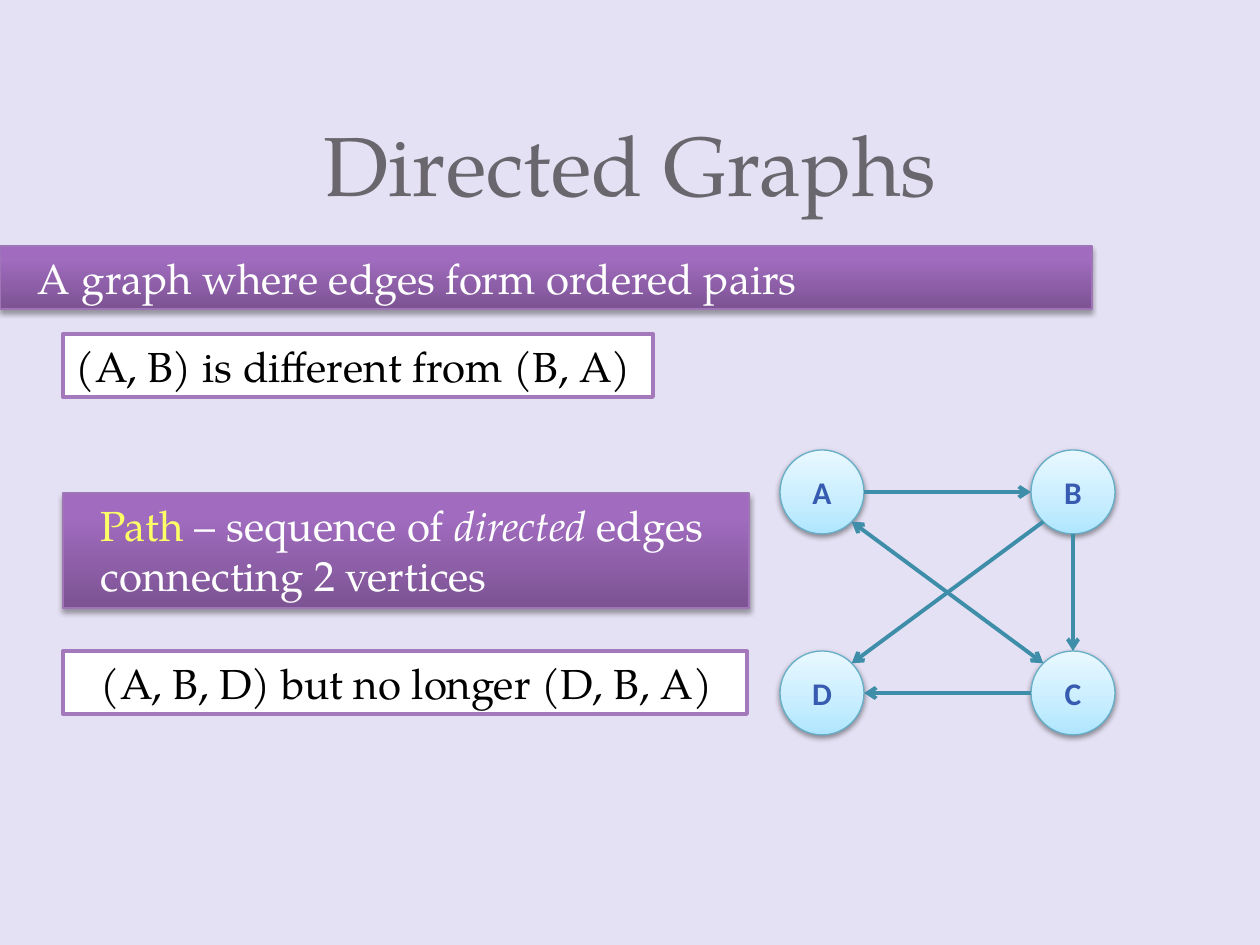
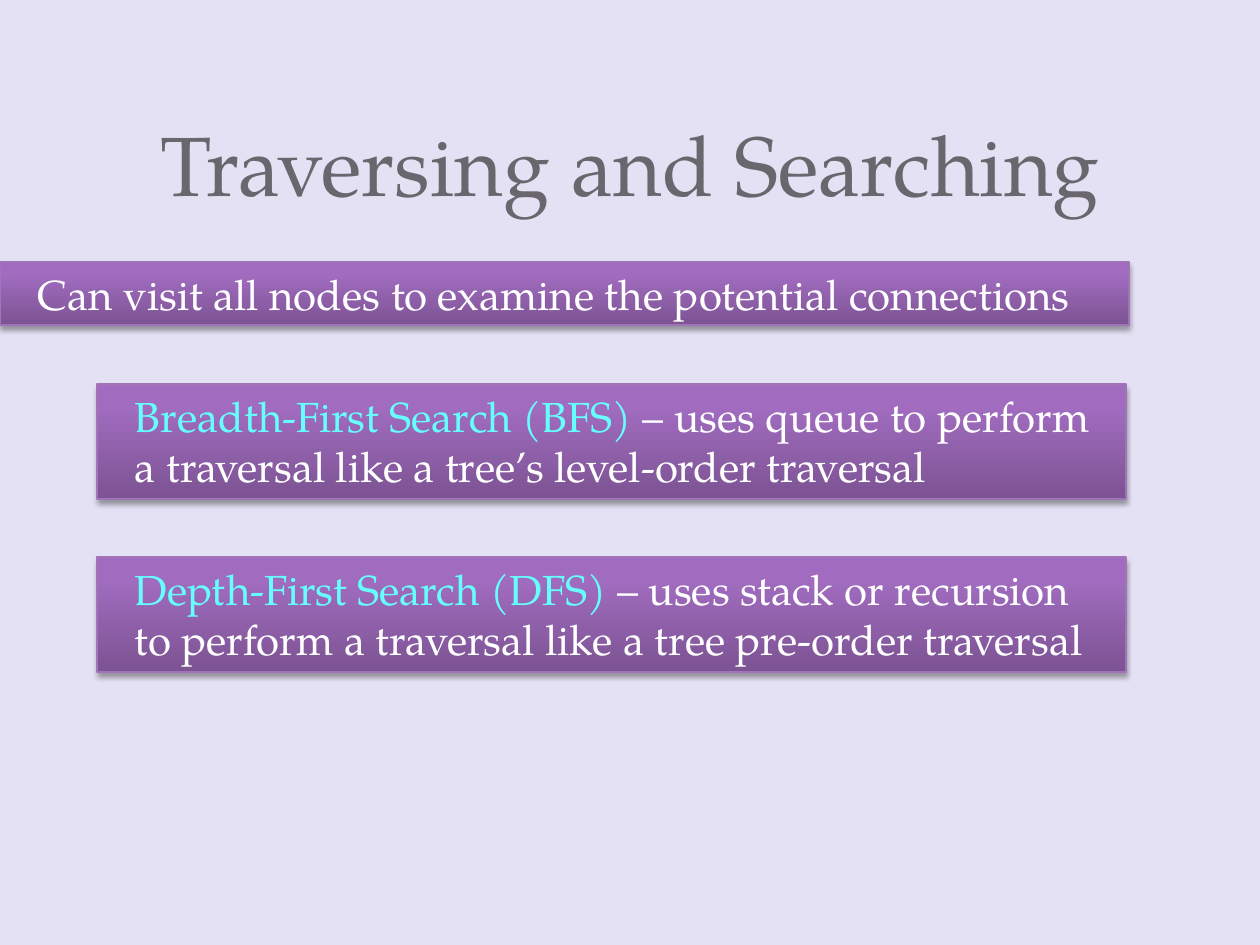
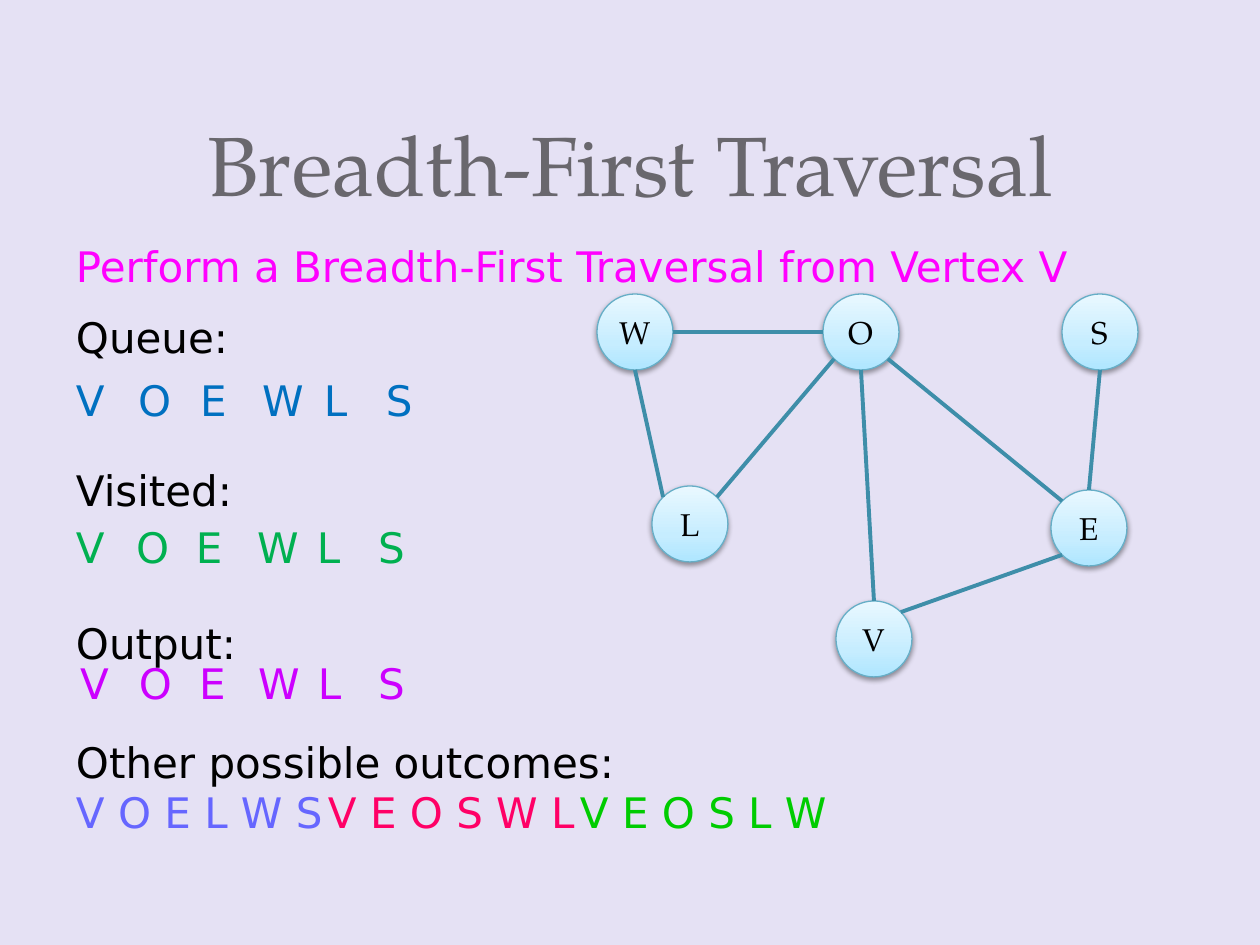
from math import hypot

from lxml import etree
from pptx import Presentation
from pptx.dml.color import RGBColor
from pptx.enum.shapes import MSO_CONNECTOR, MSO_SHAPE
from pptx.enum.text import MSO_ANCHOR, PP_ALIGN
from pptx.oxml.ns import qn
from pptx.util import Emu, Pt

RECT, OVAL = MSO_SHAPE.RECTANGLE, MSO_SHAPE.OVAL
STRAIGHT = MSO_CONNECTOR.STRAIGHT
TOP, MIDDLE, BOTTOM = MSO_ANCHOR.TOP, MSO_ANCHOR.MIDDLE, MSO_ANCHOR.BOTTOM
LEFT, CENTER = PP_ALIGN.LEFT, PP_ALIGN.CENTER

LILAC = RGBColor(0xE5, 0xE1, 0xF4)
GRAY = RGBColor(0x69, 0x67, 0x6D)
WHITE = RGBColor(0xFF, 0xFF, 0xFF)
BLACK = RGBColor(0, 0, 0)
MAUVE = RGBColor(0xA0, 0x75, 0xB8)
PURPLE = RGBColor(0xA3, 0x79, 0xBB)
SKY = RGBColor(0x66, 0xAE, 0xC7)
TEAL = RGBColor(0x3E, 0x8E, 0xA9)
NAVY = RGBColor(0x37, 0x5B, 0xB0)
YELLOW = RGBColor(0xFF, 0xFF, 0x66)
CYAN = RGBColor(0x66, 0xFF, 0xFF)
PINK = RGBColor(0xFF, 0x00, 0xFF)
BLUE = RGBColor(0x00, 0x70, 0xC0)
GREEN = RGBColor(0x00, 0xB0, 0x50)
VIOLET = RGBColor(0xCC, 0x00, 0xFF)
IRIS = RGBColor(0x66, 0x66, 0xFF)
ROSE = RGBColor(0xFF, 0x00, 0x66)
LIME = RGBColor(0x00, 0xCC, 0x00)

BAND = ((0, "7C5393"), (80, "A16CBF"), (100, "A26BC1"))
BALL = ((0, "AEE6FF"), (35, "C6EDFF"), (100, "E9F8FF"))
SERIF, SANS, PLAIN = "TeX Gyre Pagella", "DejaVu Sans", "Calibri"
SIDES = {"n": (0, -1), "s": (0, 1), "w": (-1, 0), "e": (1, 0),
         "nw": (-1, -1), "ne": (1, -1), "sw": (-1, 1), "se": (1, 1)}
SCALE = 914400 / 126


def px(n):
    """Turn px into EMU."""
    return Emu(round(n * SCALE))


def sub(root, tag, **attrs):
    """Add a drawing element under root."""
    return etree.SubElement(root, qn("a:" + tag),
                            {key: str(val) for key, val in attrs.items()})


def write(frame, *paras, size=24, font=SERIF, color=BLACK, bold=False,
          align=LEFT, line=None, gap=0):
    """Write paragraphs, each a string or a list of (text, color, italic)."""
    for i, runs in enumerate(paras):
        para = frame.add_paragraph() if i else frame.paragraphs[0]
        para.alignment = align
        if line:
            para.line_spacing = Pt(line)
        if i and gap:
            para.space_before = Pt(gap)
        if isinstance(runs, str):
            runs = [(runs, color, False)]
        for text, tint, slant in runs:
            run = para.add_run()
            run.text = text
            face = run.font
            face.name, face.size = font, Pt(size)
            face.bold, face.italic = bold, slant
            face.color.rgb = tint


class Deck:
    """Hold the shared style and the current slide."""

    def __init__(self):
        """Start an empty deck."""
        self.prs = Presentation()
        self.prs.slide_width, self.prs.slide_height = px(1260), px(945)
        self.slide = None

    def page(self, title):
        """Start a slide with its title."""
        self.slide = self.prs.slides.add_slide(self.prs.slide_layouts[6])
        fill = self.slide.background.fill
        fill.solid()
        fill.fore_color.rgb = LILAC
        self.text(63, 0, 1134, 220, title, anchor=BOTTOM, size=48,
                  color=GRAY, align=CENTER, line=58)

    def frame(self, shape, anchor=TOP, inset=13):
        """Set up the text frame of a shape."""
        frame = shape.text_frame
        frame.word_wrap = True
        frame.vertical_anchor = anchor
        frame.margin_left = px(inset)
        return frame

    def text(self, x, y, w, h, *paras, anchor=TOP, **fmt):
        """Add a text box."""
        box = self.slide.shapes.add_textbox(px(x), px(y), px(w), px(h))
        write(self.frame(box, anchor), *paras, **fmt)

    def shape(self, kind, x, y, w, h, edge, width):
        """Add an outlined shape without shadow."""
        shape = self.slide.shapes.add_shape(kind, px(x), px(y), px(w), px(h))
        shape.shadow.inherit = False
        shape.line.color.rgb = edge
        shape.line.width = Pt(width)
        return shape

    def gloss(self, shape, stops, alpha, drop):
        """Give a shape an upward gradient and a soft shadow."""
        shape.fill.gradient()
        shape.fill.gradient_angle = 90
        props = shape.element.spPr
        ramp = props.find(".//" + qn("a:gsLst"))
        for stop in list(ramp):
            ramp.remove(stop)
        for place, tint in stops:
            sub(sub(ramp, "gs", pos=place * 1000), "srgbClr", val=tint)
        shade = sub(props.find(qn("a:effectLst")), "outerShdw",
                    blurRad=Pt(3.1), dist=Pt(drop), dir=5400000,
                    algn="ctr", rotWithShape=0)
        sub(sub(shade, "srgbClr", val="000000"), "alpha", val=alpha * 1000)

    def band(self, x, y, w, h, text):
        """Add a purple band."""
        shape = self.shape(RECT, x, y, w, h, MAUVE, 0.75)
        self.gloss(shape, BAND, 35, 1.8)
        write(self.frame(shape, inset=38), text, color=WHITE)

    def card(self, x, y, w, h, text, inset):
        """Add a white card."""
        shape = self.shape(RECT, x, y, w, h, PURPLE, 2.25)
        shape.fill.solid()
        shape.fill.fore_color.rgb = WHITE
        write(self.frame(shape, inset=inset), text)

    def node(self, name, x, y, d, **fmt):
        """Add a round vertex about a centre and return its circle."""
        shape = self.shape(OVAL, x - d / 2, y - d / 2, d, d, SKY, 0.75)
        self.gloss(shape, BALL, 38, 1.6)
        frame = self.frame(shape, MIDDLE, 0)
        frame.margin_right = 0
        write(frame, name, size=18, align=CENTER, **fmt)
        return x, y, d / 2

    def edge(self, start, out, end, into, *heads):
        """Join two circles at the named sides."""
        spots = []
        for (x, y, r), side in ((start, out), (end, into)):
            dx, dy = SIDES[side]
            reach = r / hypot(dx, dy)
            spots += [px(x + dx * reach), px(y + dy * reach)]
        line = self.slide.shapes.add_connector(STRAIGHT, *spots)
        line.line.color.rgb = TEAL
        line.line.width = Pt(2.25)
        for head in heads:
            sub(line.line._get_or_add_ln(), head, type="arrow")
        sub(line.element.spPr, "effectLst")


def directed(deck):
    """Build the slide on directed graphs."""
    deck.page("Directed Graphs")
    deck.band(0, 246, 1092, 63, "A graph where edges form ordered pairs")
    deck.card(63, 334, 590, 63, "(A, B) is different from (B, A)", 13)
    deck.band(63, 493, 686, 115, [
        ("Path ", YELLOW, False), ("– sequence of ", WHITE, False),
        ("directed", WHITE, True),
        (" edges connecting 2 vertices", WHITE, False)])
    deck.card(63, 651, 684, 63, "(A, B, D) but no longer (D, B, A)", 38)
    spots = (("A", 822, 492), ("B", 1073, 492),
             ("C", 1073, 693), ("D", 822, 693))
    a, b, c, d = [deck.node(*spot, 84, font=PLAIN, color=NAVY, bold=True)
                  for spot in spots]
    deck.edge(a, "se", c, "nw", "headEnd", "tailEnd")
    deck.edge(b, "sw", d, "ne", "tailEnd")
    deck.edge(a, "e", b, "w", "tailEnd")
    deck.edge(b, "s", c, "n", "tailEnd")
    deck.edge(c, "w", d, "e", "tailEnd")


def search(deck):
    """Build the slide on the two kinds of search."""
    deck.page("Traversing and Searching")
    deck.band(0, 262, 1129, 63,
              "Can visit all nodes to examine the potential connections")
    kinds = (("Breadth-First Search (BFS) ", "– uses queue to perform "
              "a traversal like a tree’s level-order traversal"),
             ("Depth-First Search (DFS) ", "– uses stack or recursion "
              "to perform a traversal like a tree pre-order traversal"))
    for i, (name, use) in enumerate(kinds):
        deck.band(97, 384 + 173 * i, 1029, 115,
                  [(name, CYAN, False), (use, WHITE, False)])


def breadth(deck):
    """Build the slide on breadth-first traversal."""
    deck.page("Breadth-First Traversal")
    spots = {"W": (635, 332), "O": (861, 332), "E": (1089, 528),
             "V": (874, 639), "L": (690, 524), "S": (1100, 332)}
    balls = {name: deck.node(name, *spot, 76) for name, spot in spots.items()}
    for start, out, end, into in (
            ("V", "n", "O", "s"), ("W", "e", "O", "w"),
            ("E", "nw", "O", "se"), ("E", "sw", "V", "ne"),
            ("W", "s", "L", "nw"), ("L", "ne", "O", "sw"),
            ("S", "s", "E", "n")):
        deck.edge(balls[start], out, balls[end], into)
    deck.text(63, 234, 1071, 63,
              "Perform a Breadth-First Traversal from Vertex V",
              font=SANS, color=PINK)
    deck.text(63, 305, 231, 522, "Queue:", "Visited:", "Output:",
              font=SANS, gap=58.6)
    for first, last, y, tint in ((63, 373, 368, BLUE), (63, 365, 515, GREEN),
                                 (67, 365, 651, VIOLET)):
        for i, name in enumerate("VOEWLS"):
            deck.text(first + (last - first) * i // 5, y, 71, 63, name,
                      font=SANS, color=tint)
    deck.text(63, 730, 1176, 115, "Other possible outcomes:",
              [("V O E L W S\t", IRIS, False), ("V E O S W L\t", ROSE, False),
               ("V E O S L W", LIME, False)], font=SANS)


def main():
    """Build and save the deck."""
    deck = Deck()
    for build in (directed, search, breadth):
        build(deck)
    deck.prs.save("out.pptx")


if __name__ == "__main__":
    main()
